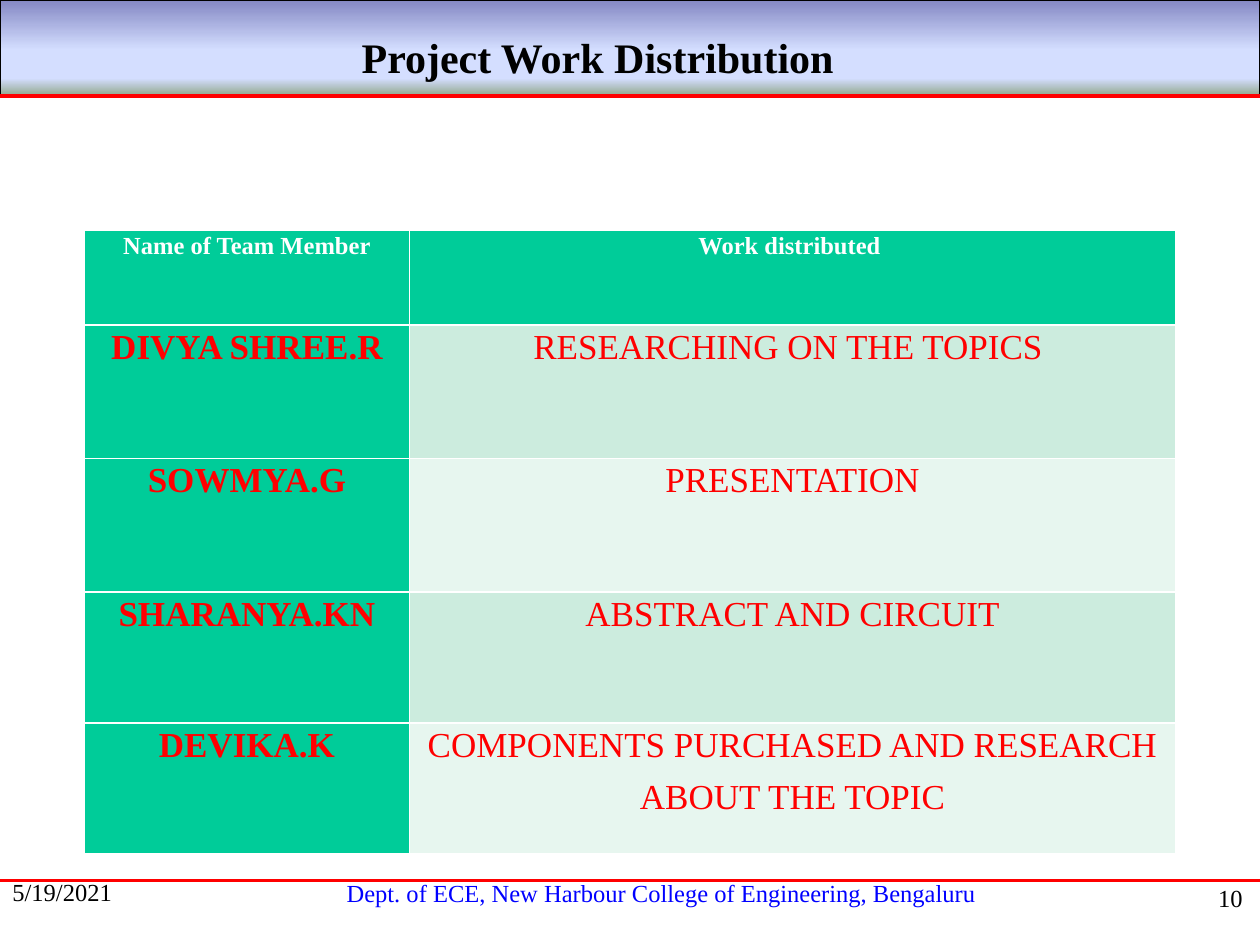
"""Build the project work distribution slide."""
import copy
import pptx
import pptx.dml.color
import pptx.enum.shapes
import pptx.enum.text
import pptx.oxml.ns
import pptx.oxml.xmlchemy
import pptx.util

Inches = pptx.util.Inches
Pt = pptx.util.Pt
Align = pptx.enum.text.PP_ALIGN
RED, GREEN, WHITE = "FF0000", "00CC99", "FFFFFF"
CELL = {"line_spacing": 1.07, "space_before": Pt(3), "space_after": Pt(3)}


def color(code):
    return pptx.dml.color.RGBColor.from_string(code)


def apply(item, values):
    for name, value in values.items():
        setattr(item, name, value)


class Deck:
    """Holds the style and the current slide."""

    def __init__(self, font):
        self.font = font
        self.show = pptx.Presentation()
        apply(self.show, {"slide_width": Inches(10), "slide_height": Inches(7.5)})
        self.slide = self.show.slides.add_slide(self.show.slide_layouts[5])
        self.shapes = self.slide.shapes

    def letter(self, frame, text, size, ink, align, bold=False, form=None):
        frame.text = text
        for para in frame.paragraphs:
            apply(para, {"alignment": align, **(form or {})})
            for run in para.runs:
                apply(run.font, {"name": self.font, "size": Pt(size), "bold": bold})
                run.font.color.rgb = color(ink)

    def band(self, box, stops):
        kind = pptx.enum.shapes.MSO_SHAPE.RECTANGLE
        shape = self.shapes.add_shape(kind, *map(Inches, box))
        shape.shadow.inherit = False
        shape.line.color.rgb = color("000000")
        shape.line.width = Pt(0.75)
        shape.fill.gradient()
        shape.fill.gradient_angle = 270
        first = next(shape._element.spPr.iter(pptx.oxml.ns.qn("a:gs")))
        for _ in stops[2:]:
            first.addnext(copy.deepcopy(first))
        for stop, (place, code) in zip(shape.fill.gradient_stops, stops):
            stop.position = place
            stop.color.rgb = color(code)

    def rule(self, top, width):
        kind = pptx.enum.shapes.MSO_CONNECTOR.STRAIGHT
        line = self.shapes.add_connector(kind, 0, Inches(top), Inches(10), Inches(top))
        line.line.color.rgb = color(RED)
        line.line.width = Pt(width)
        line._element.spPr.append(pptx.oxml.xmlchemy.OxmlElement("a:effectLst"))

    def title(self, box, text):
        shape = self.shapes.title
        apply(shape, dict(zip(("left", "top", "width", "height"), map(Inches, box))))
        apply(shape.text_frame, {
            "word_wrap": True,
            "auto_size": pptx.enum.text.MSO_AUTO_SIZE.NONE,
            "vertical_anchor": pptx.enum.text.MSO_ANCHOR.TOP,
        })
        form = {"line_spacing": 1.07, "space_before": Pt(0), "space_after": Pt(6)}
        self.letter(shape.text_frame, text, 24, "000000", Align.LEFT, True, form)
        self.shapes._spTree.append(shape._element)

    def label(self, box, text, align, ink="000000"):
        frame = self.shapes.add_textbox(*map(Inches, box)).text_frame
        frame.word_wrap = True
        self.letter(frame, text, 14, ink, align)

    def table(self, box, cols, highs, rows):
        grid = self.shapes.add_table(len(rows), len(cols), *map(Inches, box)).table
        grid.first_col = True
        for col, wide in zip(grid.columns, cols):
            col.width = Inches(wide)
        for row, high in zip(grid.rows, highs):
            row.height = Inches(high)
        for r, texts in enumerate(rows):
            for c, text in enumerate(texts):
                cell = grid.cell(r, c)
                apply(cell, {"margin_left": Inches(0.06), "margin_right": Inches(0.06),
                             "margin_top": 0, "margin_bottom": 0})
                head = r == 0 or c == 0
                tint = "CCECDE" if r % 2 else "E7F6EF"
                cell.fill.solid()
                cell.fill.fore_color.rgb = color(GREEN if head else tint)
                size, ink = (20, RED) if r else (14, WHITE)
                self.letter(cell.text_frame, text, size, ink, Align.CENTER, head, CELL)


def main():
    deck = Deck("Times New Roman")
    deck.band((0, 0, 10, 0.75), [(0, "8488C4"), (0.53, "D4DEFF"),
                                 (0.83, "D4DEFF"), (1, "96AB94")])
    deck.rule(0.76, 2.25)
    deck.label((1.71, 6.92, 7.08, 0.33),
               "Dept. of ECE, New Harbour College of Engineering, Bengaluru",
               Align.CENTER, "0000FF")
    deck.rule(6.99, 1.5)
    deck.label((0, 6.91, 2.08, 0.5), "5/19/2021", Align.LEFT)
    deck.label((7.88, 6.96, 2.08, 0.5), "10", Align.RIGHT)
    deck.title((2.77, 0.17, 4.07, 0.53), "Project Work Distribution ")
    deck.table((0.67, 1.83, 8.66, 4.95), (2.58, 6.08), (0.75, 1.06, 1.06, 1.04, 1.04), [
        ("Name of Team Member", "Work distributed "),
        ("DIVYA SHREE.R", "RESEARCHING ON THE TOPICS "),
        ("SOWMYA.G", "PRESENTATION"),
        ("SHARANYA.KN", "ABSTRACT AND CIRCUIT"),
        ("DEVIKA.K", "COMPONENTS PURCHASED AND RESEARCH\nABOUT THE TOPIC"),
    ])
    deck.show.save("out.pptx")


if __name__ == "__main__":
    main()
